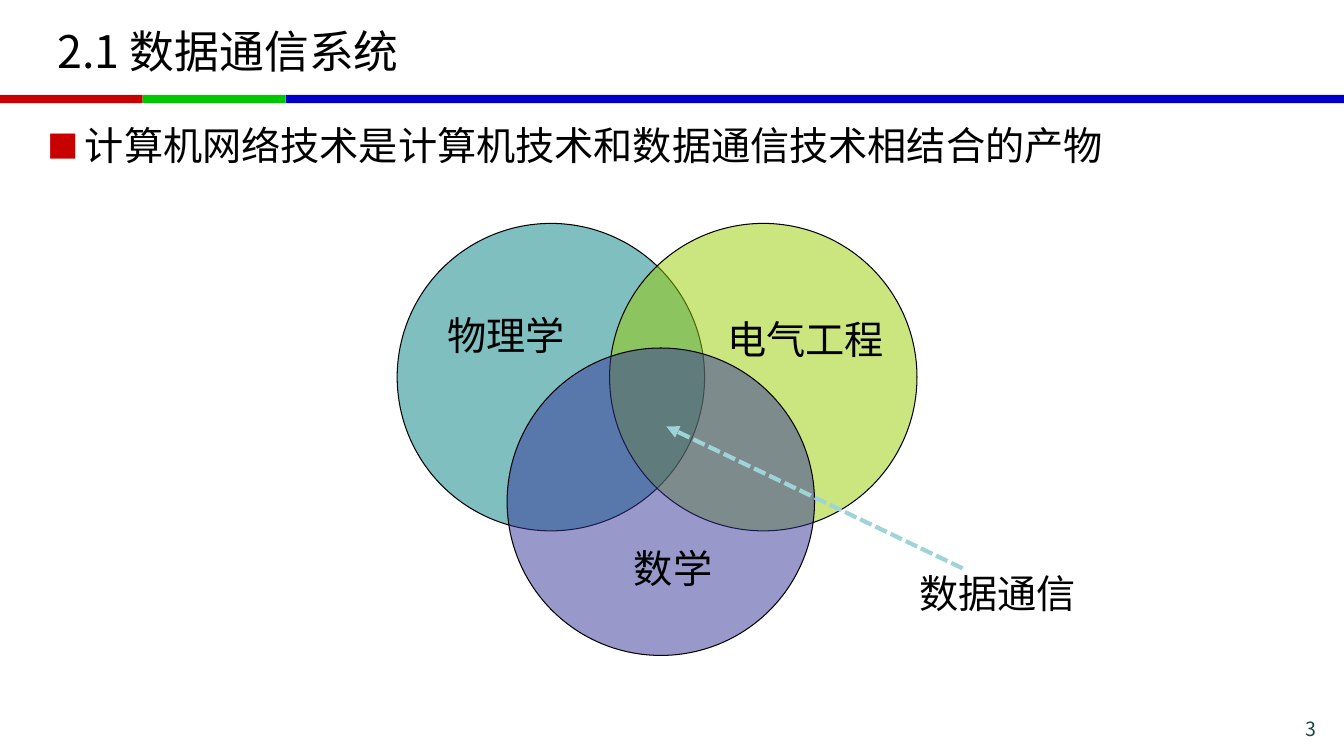
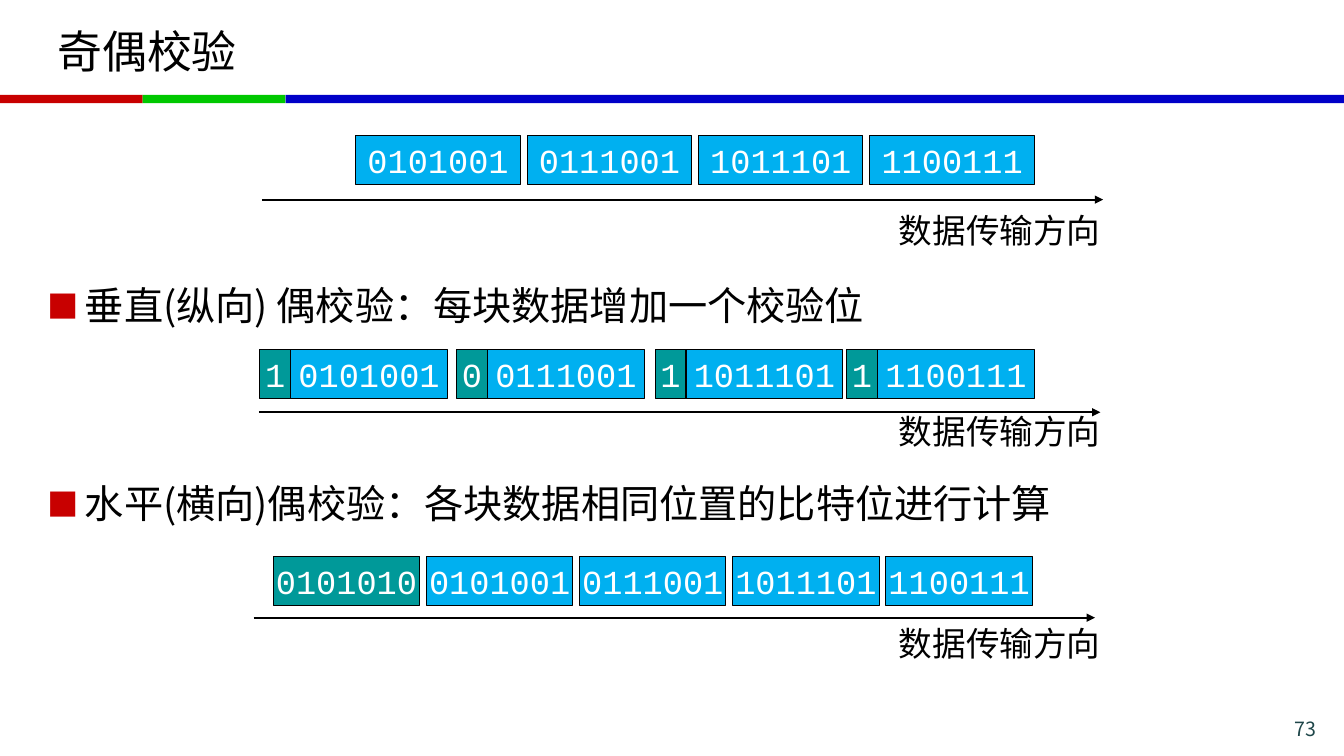
from lxml import etree
from pptx import Presentation
from pptx.dml.color import RGBColor
from pptx.enum.dml import MSO_LINE
from pptx.enum.shapes import MSO_CONNECTOR, MSO_SHAPE
from pptx.enum.text import MSO_ANCHOR, PP_ALIGN
from pptx.oxml.ns import qn
from pptx.util import Pt

RECTANGLE, OVAL = MSO_SHAPE.RECTANGLE, MSO_SHAPE.OVAL
STRAIGHT, SHORT_DASH = MSO_CONNECTOR.STRAIGHT, MSO_LINE.SQUARE_DOT
TOP, MIDDLE = MSO_ANCHOR.TOP, MSO_ANCHOR.MIDDLE
LEFT, CENTER, RIGHT = PP_ALIGN.LEFT, PP_ALIGN.CENTER, PP_ALIGN.RIGHT

color = RGBColor.from_string
BLACK, WHITE, RED, GREEN, BLUE = "000000", "FFFFFF", "C80000", "00C800", "0000C8"
PAGE_NUMBER, DATA, CHECK, AQUA = "1E4649", "00B0F0", "009999", "9ED3D7"
FONT, CODE_FONT = "Noto Sans CJK SC", "Courier New"
WIDTH, HEIGHT = 960, 540


def add_box(page, area, text="", size=28, ink=BLACK, font=FONT, align=LEFT,
            anchor=TOP, wrap=False, kind=None, fill=None, outline=None):
    """Add a text box, or a filled shape when a kind is given."""
    area = [Pt(length) for length in area]
    if kind is None:
        box = page.shapes.add_textbox(*area)
    else:
        box = page.shapes.add_shape(kind, *area)
        box.shadow.inherit = False
        box.fill.solid()
        box.fill.fore_color.rgb = color(fill)
        if outline:
            box.line.color.rgb = color(outline)
            box.line.width = Pt(0.75)
        else:
            box.line.fill.background()
    if text:
        frame = box.text_frame
        frame.text = text
        frame.word_wrap = wrap
        frame.vertical_anchor = anchor
        para = frame.paragraphs[0]
        para.alignment = align
        span = para.runs[0]
        span.font.size = Pt(size)
        span.font.name = font
        span.font.color.rgb = color(ink)
        etree.SubElement(span.font._element, qn("a:ea"), typeface=font)
    return box


def add_arrow(page, start, end, ink=BLACK, width=1.5, dash=None):
    arrow = page.shapes.add_connector(
        STRAIGHT, *[Pt(length) for length in (*start, *end)])
    arrow.line.color.rgb = color(ink)
    arrow.line.width = Pt(width)
    if dash:
        arrow.line.dash_style = dash
    properties = arrow._element.spPr
    etree.SubElement(properties.find(qn("a:ln")), qn("a:tailEnd"), type="triangle")
    etree.SubElement(properties, qn("a:effectLst"))


deck = Presentation()
deck.slide_width, deck.slide_height = Pt(WIDTH), Pt(HEIGHT)

# Shared frame: bands, title, page number and bulleted lines
bands = [(0, 102, RED), (102, 102, GREEN), (204, WIDTH - 204, BLUE)]
contents = [
    ("2.1 数据通信系统", "3",
     [(82.8, "计算机网络技术是计算机技术和数据通信技术相结合的产物")]),
    ("奇偶校验", "73",
     [(197.3, "垂直(纵向) 偶校验：每块数据增加一个校验位"),
      (339.1, "水平(横向)偶校验：各块数据相同位置的比特位进行计算")]),
]
pages = []
for title, number, bullets in contents:
    page = deck.slides.add_slide(deck.slide_layouts[6])
    pages.append(page)
    for left, width, fill in bands:
        add_box(page, (left, 67.8, width, 5.8), kind=RECTANGLE, fill=fill)
    add_box(page, (34, 6, 892, 60), title, 32, anchor=MIDDLE, wrap=True)
    add_box(page, (854, 508.3, 93.6, 20), number, 14, PAGE_NUMBER,
            align=RIGHT, wrap=True)
    for top, text in bullets:
        box = add_box(page, (26.6, top, 907, 50), text, wrap=True)
        layout = box.text_frame.paragraphs[0]._p.get_or_add_pPr()
        layout.set("marL", str(Pt(27)))
        layout.set("indent", str(-Pt(27)))
        tint = etree.SubElement(layout, qn("a:buClr"))
        etree.SubElement(tint, qn("a:srgbClr"), val=RED)
        etree.SubElement(layout, qn("a:buSzPct"), val="80000")
        etree.SubElement(layout, qn("a:buFont"), typeface=FONT)
        etree.SubElement(layout, qn("a:buChar"), char="■")
venn_page, parity_page = pages

# Three half-transparent circles
for left, top, fill in [(283.7, 159.6, "008080"), (435.4, 159.6, "99CC00"),
                        (362.2, 248.6, "333399")]:
    circle = add_box(venn_page, (left, top, 219.6, 219.6), kind=OVAL,
                     fill=fill, outline=BLACK)
    fill_color = circle._element.spPr.find(qn("a:solidFill"))[0]
    etree.SubElement(fill_color, qn("a:alpha"), val="50000")

# Subject names and the arrow to the shared field
add_arrow(venn_page, (687.6, 406), (476, 304.6), AQUA, 3, SHORT_DASH)
for left, top, width, text in [(445.7, 385.2, 71, "数学"), (312.5, 218.9, 99, "物理学"),
                               (512.6, 221.8, 127, "电气工程"),
                               (649.4, 403.2, 127, "数据通信")]:
    add_box(venn_page, (left, top, width, 41), text)

# Bit blocks as (left, width, bits, fill), one list for each row
blocks = ["0101001", "0111001", "1011101", "1100111"]
plain_row = [(254.2 + 122.4 * i, 117.4, bits, DATA) for i, bits in enumerate(blocks)]
vertical_row = []
for left, bits in zip((185.6, 326.2, 468, 604.8), blocks):
    parity = str(bits.count("1") % 2)
    vertical_row += [(left, 22, parity, CHECK), (left + 22, 112, bits, DATA)]
horizontal_row = [
    (195.2 + 109.4 * i, 104.6, bits, DATA if i else CHECK)
    for i, bits in enumerate(["0101010"] + blocks)]

# Rows with their direction arrows and labels
for row, top, arrow_left, arrow_top, label_top in [
        (plain_row, 96.5, 187, 142.6, 146.2),
        (vertical_row, 249.6, 185, 294.5, 290.2),
        (horizontal_row, 397.2, 181.2, 441.2, 441.4)]:
    for left, width, bits, fill in row:
        add_box(parity_page, (left, top, width, 35), bits, 24, WHITE, CODE_FONT,
                CENTER, MIDDLE, kind=RECTANGLE, fill=fill, outline=BLACK)
    add_arrow(parity_page, (arrow_left, arrow_top), (arrow_left + 601, arrow_top))
    add_box(parity_page, (635, label_top, 160, 36), "数据传输方向", 24)

deck.save("out.pptx")
